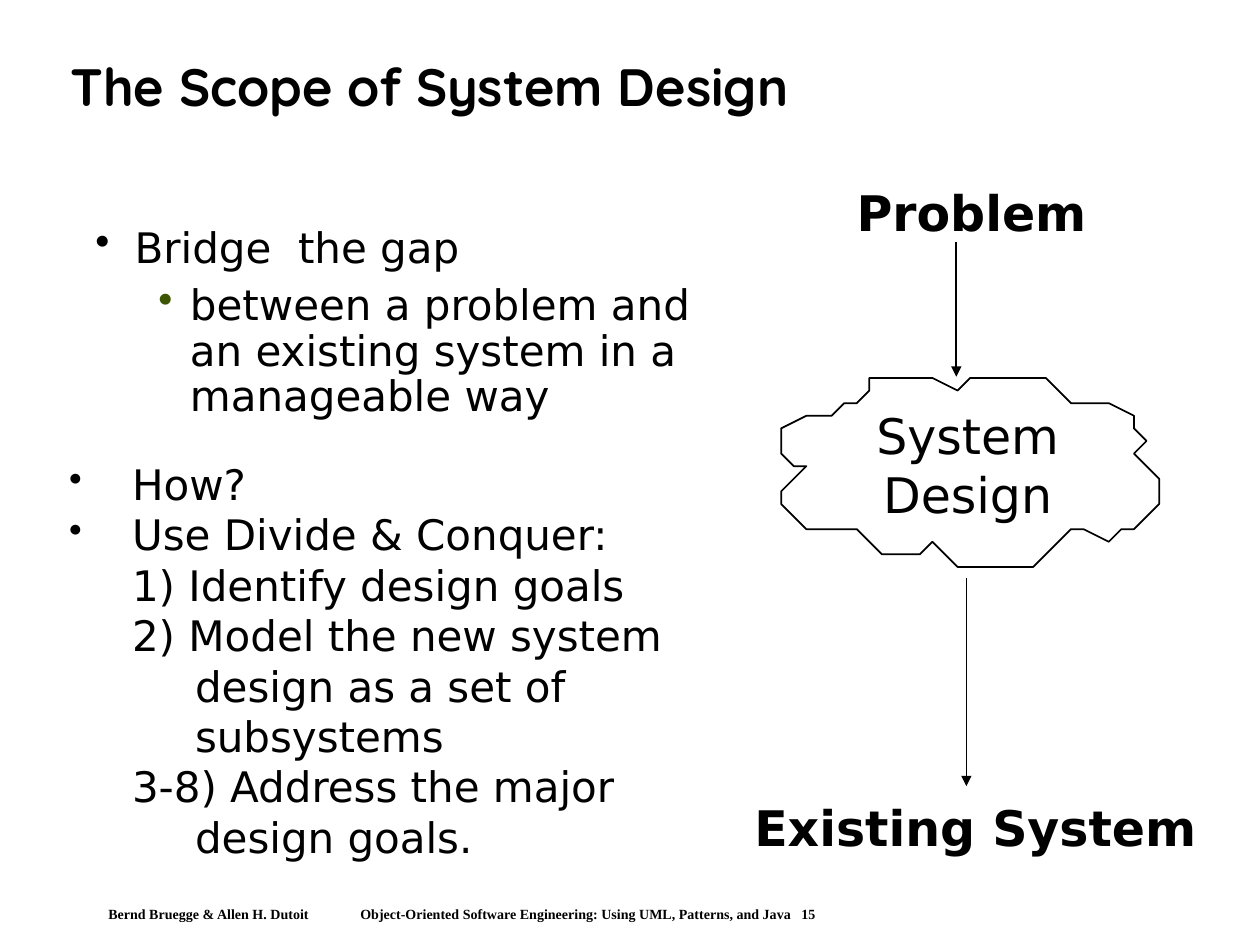
from lxml.etree import SubElement
from pptx import Presentation
from pptx.dml.color import RGBColor
from pptx.enum.shapes import MSO_CONNECTOR as Connector
from pptx.enum.text import MSO_ANCHOR as Anchor, PP_ALIGN as Align
from pptx.oxml.ns import qn
from pptx.util import Inches, Pt

COLORS = {"ink": "000000", "paper": "FFFFFF", "moss": "3D5500"}
COLUMNS, ROWS = 100, 75
CELL = Inches(0.1)

CLOUD = [
    (73.8, 30.1), (75.5, 30.6), (76, 30.7), (76.3, 30.7), (77.3, 30.2), (78.4, 29.8),
    (79.9, 29.6), (81.5, 29.6), (82.7, 30.1), (83.6, 30.6), (84.2, 31.4), (84.7, 31.9),
    (85.6, 31.9), (87, 31.7), (88.3, 32.1), (89.7, 32.7), (90.5, 33.7), (90.8, 34.7),
    (90.5, 35.7), (90, 36.5), (90.8, 37.4), (91.5, 38), (91.7, 39.4), (91.7, 40.4),
    (90.9, 41.2), (89.9, 42), (88.8, 42.3), (87.7, 42.7), (86.2, 42.5), (84.8, 42.3),
    (84.2, 43), (83.3, 44), (81.8, 44.7), (80.1, 45), (78.3, 45), (76.4, 44.7),
    (75.4, 44), (74.3, 43.4), (72.9, 43.5), (71.5, 43.8), (70.5, 43.8), (69.6, 43.5),
    (69, 42.7), (68, 42), (66.7, 42), (65.3, 42.2), (63.9, 41.7), (62.8, 41),
    (62.4, 40), (62.2, 39), (62.8, 38.2), (63.5, 37.4), (63, 36.7), (62.2, 36),
    (62.2, 35.1), (62.4, 34.1), (63.6, 33.4), (65, 32.7), (66.2, 32.6), (67.3, 32.4),
    (67.9, 31.7), (68.6, 30.9), (69.4, 30.4), (70.5, 30.1), (71.2, 29.9), (72, 29.9),
]


def rgb(name):
    return RGBColor.from_string(COLORS[name])


class Sketch:
    """Draws styled elements on one slide, measured in grid columns and rows."""

    def __init__(self, slide, face="DejaVu Sans"):
        self.slide = slide
        self.face = face

    def text(self, left, top, width, height, lines, size, face=None, bold=False,
             align=Align.LEFT, anchor=Anchor.TOP, spacing=None, gap=0, inset=(1, 0.5)):
        box = self.slide.shapes.add_textbox(
            *(int(n * CELL) for n in (left, top, width, height)))
        frame = box.text_frame
        frame.word_wrap = True
        frame.vertical_anchor = anchor
        frame.margin_left = frame.margin_right = int(inset[0] * CELL)
        frame.margin_top = frame.margin_bottom = int(inset[1] * CELL)
        for index, (words, layout) in enumerate(lines):
            paragraph = frame.paragraphs[0] if index == 0 else frame.add_paragraph()
            paragraph.text = words
            paragraph.alignment = align
            self.arrange(paragraph, **layout)
            if spacing:
                paragraph.line_spacing = spacing
            if index and gap:
                paragraph.space_before = Pt(gap)
            font = paragraph.font
            font.name = face or self.face
            font.size = Pt(size)
            font.bold = bold
            font.color.rgb = rgb("ink")

    def arrange(self, paragraph, margin=0, hanging=0, level=0, bullet=None, scale=100, tabs=()):
        paragraph.level = level
        props = paragraph._p.get_or_add_pPr()
        props.set("marL", str(int(margin * CELL)))
        props.set("indent", str(int(-hanging * CELL)))
        if bullet:
            color = SubElement(props, qn("a:buClr"))
            SubElement(color, qn("a:srgbClr"), val=COLORS[bullet])
            SubElement(props, qn("a:buSzPct"), val=str(scale * 1000))
            SubElement(props, qn("a:buChar"), char="•")
        else:
            SubElement(props, qn("a:buNone"))
        if tabs:
            stops = SubElement(props, qn("a:tabLst"))
            for stop in tabs:
                SubElement(stops, qn("a:tab"), pos=str(int(stop * CELL)), algn="l")

    def outline(self, points):
        builder = self.slide.shapes.build_freeform(*points[0], scale=CELL)
        builder.add_line_segments(points[1:], close=True)
        shape = builder.convert_to_shape()
        shape.shadow.inherit = False
        shape.fill.solid()
        shape.fill.fore_color.rgb = rgb("paper")
        self.stroke(shape.line)

    def arrow_down(self, column, start, end):
        arrow = self.slide.shapes.add_connector(
            Connector.STRAIGHT, *(int(n * CELL) for n in (column, start, column, end)))
        self.stroke(arrow.line)
        SubElement(arrow.line._get_or_add_ln(), qn("a:tailEnd"), type="triangle")
        SubElement(arrow._element.spPr, qn("a:effectLst"))

    def stroke(self, line):
        line.color.rgb = rgb("ink")
        line.width = Pt(1)


def main():
    deck = Presentation()
    deck.slide_width, deck.slide_height = COLUMNS * CELL, ROWS * CELL
    sketch = Sketch(deck.slides.add_slide(deck.slide_layouts[6]))

    credits = "Bernd Bruegge & Allen H. Dutoit"
    book = "Object-Oriented Software Engineering: Using UML, Patterns, and Java"
    sketch.text(7.8, 71.5, 84, 2.1, [(f"{credits}\t{book}\t15", dict(tabs=(28.1, 79.9)))],
                8, face="Times New Roman", bold=True, inset=(0.8, 0.4))
    sketch.text(4.6, 2.4, 89.2, 9.4, [("The Scope of System Design", {})],
                30, face="Quicksand", bold=True, anchor=Anchor.MIDDLE, spacing=0.9)

    purpose = [
        ("Bridge  the gap", dict(margin=3.1, hanging=3.1, bullet="ink")),
        ("between a problem and an existing system in a manageable way",
         dict(margin=7.5, hanging=2.5, level=1, bullet="moss")),
    ]
    sketch.text(6.6, 17.5, 49.7, 16.5, purpose, 24, spacing=0.9, gap=7.2)

    question = dict(margin=5, hanging=5, bullet="ink", scale=90)
    step = dict(margin=10, hanging=5, level=1)
    method = [
        ("How?", question),
        ("Use Divide & Conquer:", question),
        ("1) Identify design goals", step),
        ("2) Model the new system design as a set of subsystems", step),
        ("3-8) Address the major design goals.", step),
    ]
    sketch.text(4.5, 35.9, 51, 32.6, method, 24)

    sketch.text(67, 14, 21.5, 5.6, [("Problem", {})], 28, bold=True)
    sketch.text(56.5, 62.8, 41.8, 5.6, [("Existing System", {})], 28,
                bold=True, align=Align.CENTER)
    sketch.outline(CLOUD)
    sketch.text(68.5, 31.7, 16.6, 10.3, [("System", {}), ("Design", {})], 28,
                align=Align.CENTER)
    sketch.arrow_down(75.9, 19.2, 29.9)
    sketch.arrow_down(76.7, 45.9, 62.4)

    deck.save("out.pptx")


if __name__ == "__main__":
    main()
